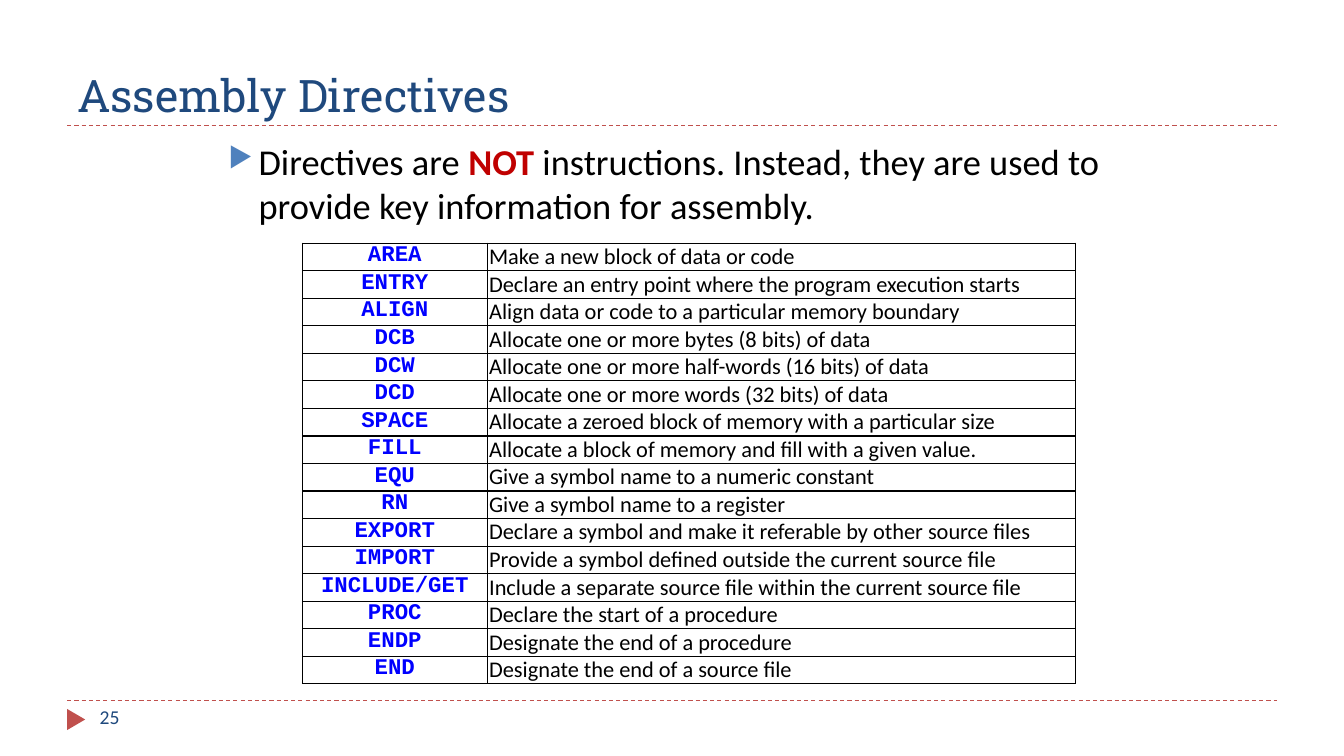
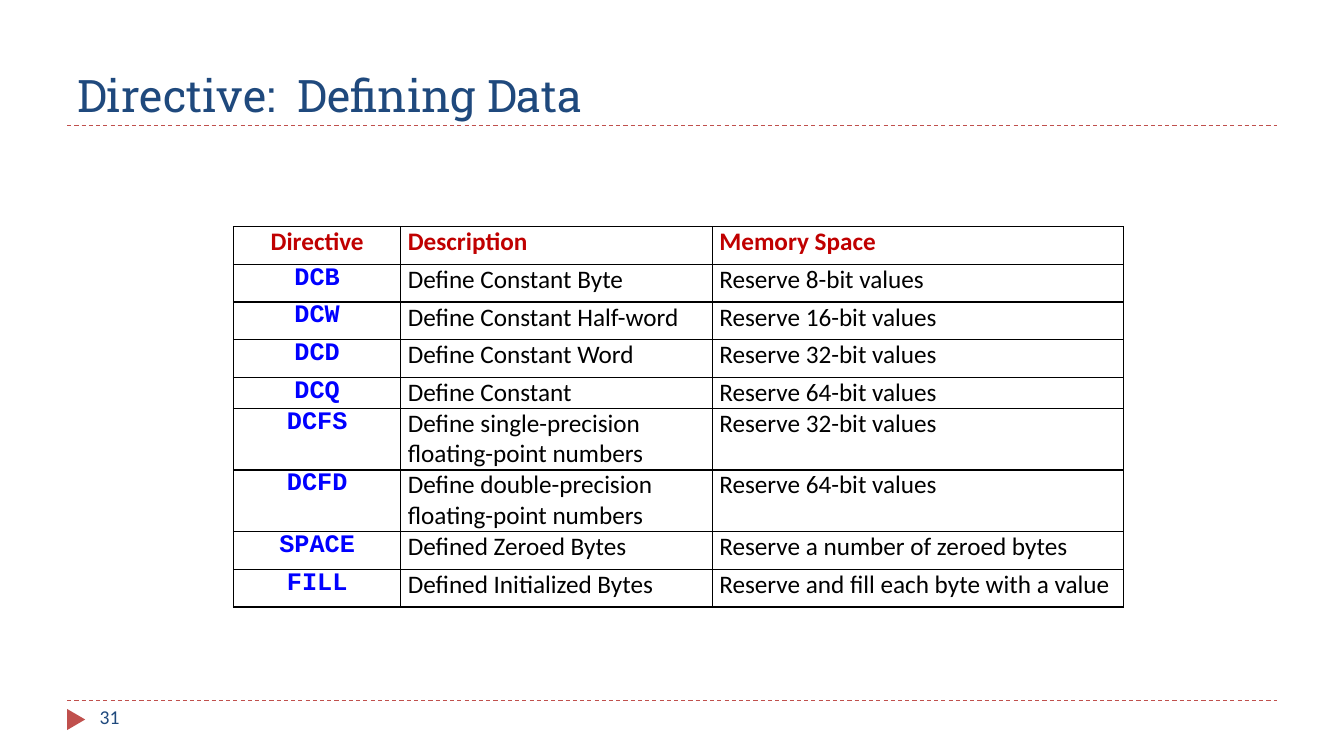
"""Build two slides on assembly directives, each with a ruled table."""
from dataclasses import dataclass

from lxml import etree
from pptx import Presentation
from pptx import util as u
from pptx.dml.color import RGBColor
from pptx.enum import dml, shapes, text as t
from pptx.oxml import ns


@dataclass(frozen=True)
class Theme:
    navy: str = "1F497D"
    brick: str = "C0504D"
    bullet: str = "4F81BD"
    code: str = "0000FF"
    alert: str = "C00000"
    ink: str = "000000"
    title_font: str = "Roboto Slab"
    body_font: str = "Calibri"
    code_font: str = "Courier New"
    title_size: int = 32
    body_size: int = 26
    number_size: int = 14


theme = Theme()
presentation = Presentation()
presentation.slide_width = u.Inches(13.33)
presentation.slide_height = u.Inches(7.5)
unit = presentation.slide_width / 40


def write(paragraph, text, size, color=theme.ink, font=theme.body_font, bold=False, align=None):
    run = paragraph.add_run()
    run.text = text
    run.font.size = u.Pt(size)
    run.font.name = font
    run.font.bold = bold
    run.font.color.rgb = RGBColor.from_string(color)
    paragraph.alignment = align


def grid(*counts):
    return [u.Emu(round(count * unit)) for count in counts]


LEFT, RIGHT, TITLE_LINE, FOOTER_LINE = 2, 38, 3.75, 20.85

pages = [
    {
        "title": "Assembly Directives",
        "number": "25",
        "origin": (9, 7.24),
        "columns": [5.5, 17.5],
        "heights": [0.82] * 16,
        "size": 16,
        "inset": 0.02,
        "has_header": False,
        "rows": [
            ("AREA", "Make a new block of data or code"),
            ("ENTRY", "Declare an entry point where the program execution starts"),
            ("ALIGN", "Align data or code to a particular memory boundary"),
            ("DCB", "Allocate one or more bytes (8 bits) of data"),
            ("DCW", "Allocate one or more half-words (16 bits) of data"),
            ("DCD", "Allocate one or more words (32 bits) of data"),
            ("SPACE", "Allocate a zeroed block of memory with a particular size"),
            ("FILL", "Allocate a block of memory and fill with a given value."),
            ("EQU", "Give a symbol name to a numeric constant"),
            ("RN", "Give a symbol name to a register"),
            ("EXPORT", "Declare a symbol and make it referable by other source files"),
            ("IMPORT", "Provide a symbol defined outside the current source file"),
            ("INCLUDE/GET", "Include a separate source file within the current source file"),
            ("PROC", "Declare the start of a procedure"),
            ("ENDP", "Designate the end of a procedure"),
            ("END", "Designate the end of a source file"),
        ],
    },
    {
        "title": "Directive:  Defining Data",
        "number": "31",
        "origin": (6.95, 6.75),
        "columns": [4.98, 9.27, 12.25],
        "heights": [1.12] * 4 + [0.92, 1.84, 1.84] + [1.12] * 2,
        "size": 18,
        "inset": 0.07,
        "has_header": True,
        "rows": [
            ("Directive", "Description", "Memory Space"),
            ("DCB", "Define Constant Byte", "Reserve 8-bit values"),
            ("DCW", "Define Constant Half-word", "Reserve 16-bit values"),
            ("DCD", "Define Constant Word", "Reserve 32-bit values"),
            ("DCQ", "Define Constant", "Reserve 64-bit values"),
            ("DCFS", "Define single-precision floating-point numbers", "Reserve 32-bit values"),
            ("DCFD", "Define double-precision floating-point numbers", "Reserve 64-bit values"),
            ("SPACE", "Defined Zeroed Bytes", "Reserve a number of zeroed bytes"),
            ("FILL", "Defined Initialized Bytes", "Reserve and fill each byte with a value"),
        ],
    },
]

for page in pages:
    slide = presentation.slides.add_slide(presentation.slide_layouts[6])

    for height in (FOOTER_LINE, TITLE_LINE):
        rule = slide.shapes.add_connector(
            shapes.MSO_CONNECTOR.STRAIGHT, *grid(LEFT, height, RIGHT, height))
        rule.line.color.rgb = RGBColor.from_string(theme.brick)
        rule.line.width = u.Pt(0.75)
        rule.line.dash_style = dml.MSO_LINE.DASH
        etree.SubElement(rule._element.spPr, ns.qn("a:effectLst"))

    marker = slide.shapes.add_shape(
        shapes.MSO_SHAPE.ISOSCELES_TRIANGLE, *grid(1.95, 21.15, 0.63, 0.54))
    marker.rotation = 90
    marker.shadow.inherit = False
    marker.fill.solid()
    marker.fill.fore_color.rgb = RGBColor.from_string(theme.brick)
    marker.line.fill.background()

    title = slide.shapes.add_textbox(*grid(LEFT, 0.5, RIGHT - LEFT, TITLE_LINE - 0.5)).text_frame
    title.word_wrap = True
    title.vertical_anchor = t.MSO_ANCHOR.BOTTOM
    write(title.paragraphs[0], page["title"], theme.title_size, theme.navy, theme.title_font)

    number = slide.shapes.add_textbox(*grid(2.67, FOOTER_LINE, 8.67, 1.2)).text_frame
    number.word_wrap = True
    write(number.paragraphs[0], page["number"], theme.number_size, theme.navy)

    columns, heights = page["columns"], page["heights"]
    table = slide.shapes.add_table(
        len(heights), len(columns),
        *grid(*page["origin"], sum(columns), sum(heights))).table
    table.first_row = page["has_header"]
    table.horz_banding = False
    for column, width in zip(table.columns, grid(*columns)):
        column.width = width
    for row, height in zip(table.rows, grid(*heights)):
        row.height = height

    for row_index, row in enumerate(page["rows"]):
        for column_index, words in enumerate(row):
            cell = table.cell(row_index, column_index)
            cell.margin_left = cell.margin_right = u.Inches(page["inset"])
            cell.margin_top = cell.margin_bottom = 0
            for side in ("a:lnL", "a:lnR", "a:lnT", "a:lnB"):
                border = etree.SubElement(
                    cell._tc.get_or_add_tcPr(), ns.qn(side), w=str(u.Pt(1)))
                fill = etree.SubElement(border, ns.qn("a:solidFill"))
                etree.SubElement(fill, ns.qn("a:srgbClr"), val=theme.ink)
            cell.fill.background()

            style = {"align": t.PP_ALIGN.LEFT if column_index else t.PP_ALIGN.CENTER}
            if page["has_header"] and row_index == 0:
                style.update(color=theme.alert, bold=True)
            elif column_index == 0:
                style.update(color=theme.code, font=theme.code_font, bold=True)
            write(cell.text_frame.paragraphs[0], words, page["size"], **style)

body = presentation.slides[0].shapes.add_textbox(*grid(6.5, 4, 27, 16.2)).text_frame
body.word_wrap = True
paragraph = body.paragraphs[0]
properties = paragraph._p.get_or_add_pPr()
properties.set("marL", str(u.Inches(0.3)))
properties.set("indent", str(-u.Inches(0.3)))
bullet_color = etree.SubElement(properties, ns.qn("a:buClr"))
etree.SubElement(bullet_color, ns.qn("a:srgbClr"), val=theme.bullet)
etree.SubElement(properties, ns.qn("a:buSzPct"), val="76000")
etree.SubElement(properties, ns.qn("a:buChar"), char="▶")
write(paragraph, "Directives are ", theme.body_size)
write(paragraph, "NOT", theme.body_size, theme.alert, bold=True)
write(paragraph, " instructions. Instead, they are used to provide key information for assembly.",
      theme.body_size)

presentation.save("out.pptx")
